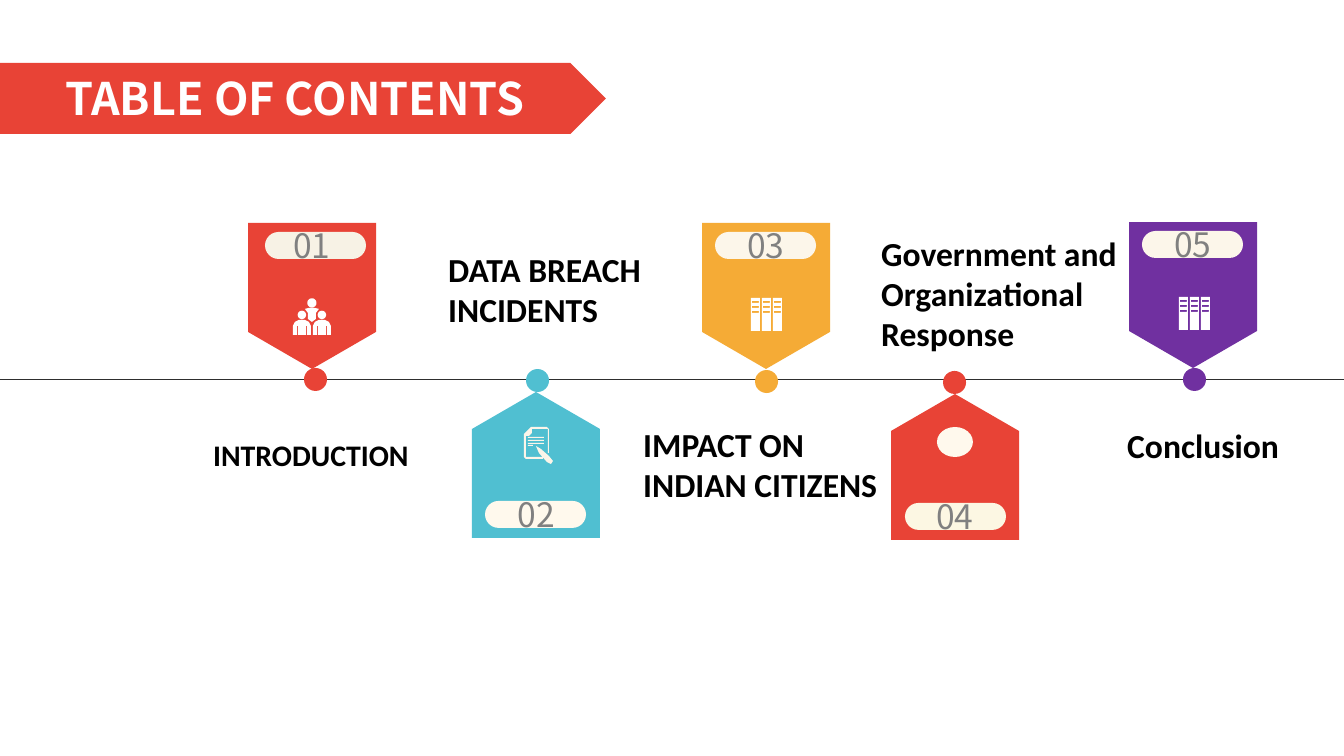
from math import cos, pi, sin

from lxml.etree import SubElement
from pptx import Presentation
from pptx.dml.color import RGBColor
from pptx.enum.shapes import MSO_CONNECTOR, MSO_SHAPE
from pptx.enum.text import MSO_ANCHOR, PP_ALIGN
from pptx.oxml.ns import qn
from pptx.util import Pt

SCALE = 914400 / 134.4
WIDE, HIGH = 1344, 756
COLORS = {
    "red": "E84336", "blue": "50BFD1", "gold": "F5AB36", "plum": "7030A0",
    "line": "2E2E2E", "black": "000000", "gray": "808080", "white": "FFFFFF",
    "sand": "F7F2E5", "milk": "FFF9ED", "cream": "FCF6EA", "pale": "FCF7E3",
    "ivory": "FBF5E9",
}
SANS, CJK = "Calibri", "Noto Sans CJK SC"
TAG_W, TAG_H, BODY_H = 128, 146, 109
PILL_W, PILL_H = 101, 27
DOT = 23


def emu(px):
    return round(px * SCALE)


def rgb(name):
    return RGBColor.from_string(COLORS[name])


def box(x, y, w, h):
    return [(x, y), (x + w, y), (x + w, y + h), (x, y + h)]


def ring(x, y, r, steps=24):
    """Points of a circle around x, y."""
    turns = [2 * pi * i / steps for i in range(steps)]
    return [(x + r * cos(t), y + r * sin(t)) for t in turns]


def shift(paths, x, y):
    return [[(px + x, py + y) for px, py in path] for path in paths]


def group():
    """Three people, the third standing behind the other two."""
    body = [(0, 37), (0, 28), (2, 24), (6, 22), (12, 22), (16, 24), (18, 28),
            (18, 37), (14, 37), (14, 28), (13, 28), (13, 37),
            (5, 37), (5, 28), (4, 28), (4, 37)]
    torso = [(12, 11), (16, 10), (22, 10), (26, 11), (23, 15), (23, 21),
             (19, 24), (15, 21), (15, 15)]
    heads = [ring(19, 5, 4.6), ring(9, 17, 4.2), ring(29, 17, 4.2)]
    return [torso, body] + shift([body], 20, 0) + heads


def files():
    """Three binders, each with three slots cut out."""
    binder = [box(0, 0, 9, 33)] + [box(1, y, 7, 2) for y in (3, 8, 13)]
    return [path for i in range(3) for path in shift(binder, 11 * i, 0)]


def note():
    """A sheet with text lines and a pencil."""
    sheet = [(0, 7), (7, 0), (23, 0), (25, 2), (25, 26), (24, 26), (24, 2),
             (8, 2), (8, 6), (5, 9), (2, 9), (2, 30), (19, 30), (19, 32),
             (2, 32), (0, 30)]
    pencil = [(12, 19), (17, 22), (25, 29), (29, 34), (27, 37), (23, 35),
              (15, 26)]
    lines = [box(4, y, 16, 1) for y in (10, 13, 16)]
    return [sheet, pencil, box(4, 18, 5, 1)] + lines


class Deck:
    def __init__(self):
        self.prs = Presentation()
        self.prs.slide_width, self.prs.slide_height = emu(WIDE), emu(HIGH)
        self.shapes = self.prs.slides.add_slide(
            self.prs.slide_layouts[6]).shapes

    def paint(self, shape, color):
        shape.shadow.inherit = False
        shape.fill.solid()
        shape.fill.fore_color.rgb = rgb(color)
        shape.line.fill.background()
        return shape

    def shape(self, kind, x, y, w, h, color):
        item = self.shapes.add_shape(kind, emu(x), emu(y), emu(w), emu(h))
        return self.paint(item, color)

    def free(self, paths, color):
        """Fill closed outlines as one shape; inner outlines cut holes."""
        paths = [[(emu(x), emu(y)) for x, y in path] for path in paths]
        pen = self.shapes.build_freeform(*paths[0][0], scale=1.0)
        for i, path in enumerate(paths):
            if i:
                pen.move_to(*path[0])
            pen.add_line_segments(path[1:], close=True)
        return self.paint(pen.convert_to_shape(), color)

    def rule(self, x1, y1, x2, y2):
        line = self.shapes.add_connector(
            MSO_CONNECTOR.STRAIGHT, emu(x1), emu(y1), emu(x2), emu(y2))
        line.line.color.rgb = rgb("line")
        line.line.width = Pt(0.5)
        SubElement(line._element.spPr, qn("a:effectLst"))

    def text(self, words, x, y, w, h, size=18, face=SANS, color="black",
             bold=True, wrap=True, align=PP_ALIGN.LEFT,
             anchor=MSO_ANCHOR.TOP):
        frame = self.shapes.add_textbox(
            emu(x), emu(y), emu(w), emu(h)).text_frame
        frame.word_wrap = wrap
        frame.vertical_anchor = anchor
        frame.text = words
        para = frame.paragraphs[0]
        para.alignment = align
        font = para.runs[0].font
        font.size, font.name, font.bold = Pt(size), face, bold
        font.color.rgb = rgb(color)
        for tag in ("a:ea", "a:cs"):
            SubElement(font._element, qn(tag)).set("typeface", face)

    def tag(self, num, x, y, down, color, pill, pill_x):
        """A pennant pointing down or up to the line, with its number."""
        side = [(0, BODY_H), (TAG_W / 2, TAG_H), (TAG_W, BODY_H),
                (TAG_W, 0), (0, 0)]
        if not down:
            side = [(px, TAG_H - py) for px, py in side]
        self.free(shift([side], x, y), color)
        pill_y = y + (9 if down else BODY_H)
        plate = self.shape(MSO_SHAPE.ROUNDED_RECTANGLE, pill_x, pill_y,
                           PILL_W, PILL_H, pill)
        plate.adjustments[0] = 0.5
        self.text(num, x + 27, pill_y - 14, 74, 54, face=CJK, color="gray",
                  bold=False, align=PP_ALIGN.CENTER,
                  anchor=MSO_ANCHOR.MIDDLE)

    def icon(self, paths, x, y, color):
        self.free(shift(paths, x, y), color)


def main():
    deck = Deck()
    deck.rule(WIDE, 380, 0, 380)

    # number, x, y, points down, colour, pill colour, pill x, dot x, dot y
    tags = [
        ("01", 248, 223, True, "red", "sand", 265, 304, 368),
        ("02", 472, 392, False, "blue", "milk", 485, 526, 369),
        ("03", 702, 223, True, "gold", "cream", 715, 755, 370),
        ("04", 891, 394, False, "red", "pale", 905, 943, 371),
        ("05", 1129, 222, True, "plum", "cream", 1142, 1183, 368),
    ]
    for *tag, dot_x, dot_y in tags:
        deck.shape(MSO_SHAPE.OVAL, dot_x, dot_y, DOT, DOT, tag[4])
        deck.tag(*tag)

    deck.icon(group(), 293, 298, "white")
    deck.icon(note(), 524, 427, "ivory")
    deck.icon(files(), 751, 298, "white")
    deck.shape(MSO_SHAPE.OVAL, 937, 427, 36, 30, "milk")
    deck.icon(files(), 1179, 297, "white")

    deck.shape(MSO_SHAPE.PENTAGON, -1, 63, 607, 71, "red")
    deck.text("TABLE OF CONTENTS", 52, 64, 1292, 67, size=24, face=CJK,
              color="white", wrap=False, anchor=MSO_ANCHOR.MIDDLE)

    deck.text("INTRODUCTION", 200, 430, 223, 69, size=16, wrap=False)
    labels = [
        ("DATA BREACH INCIDENTS", 435, 242, 288, 95),
        ("IMPACT ON INDIAN CITIZENS", 630, 417, 297, 136),
        ("Government and Organizational Response", 868, 226, 280, 136),
        ("Conclusion", 1114, 418, 230, 54),
    ]
    for label in labels:
        deck.text(*label)

    deck.prs.save("out.pptx")


if __name__ == "__main__":
    main()
